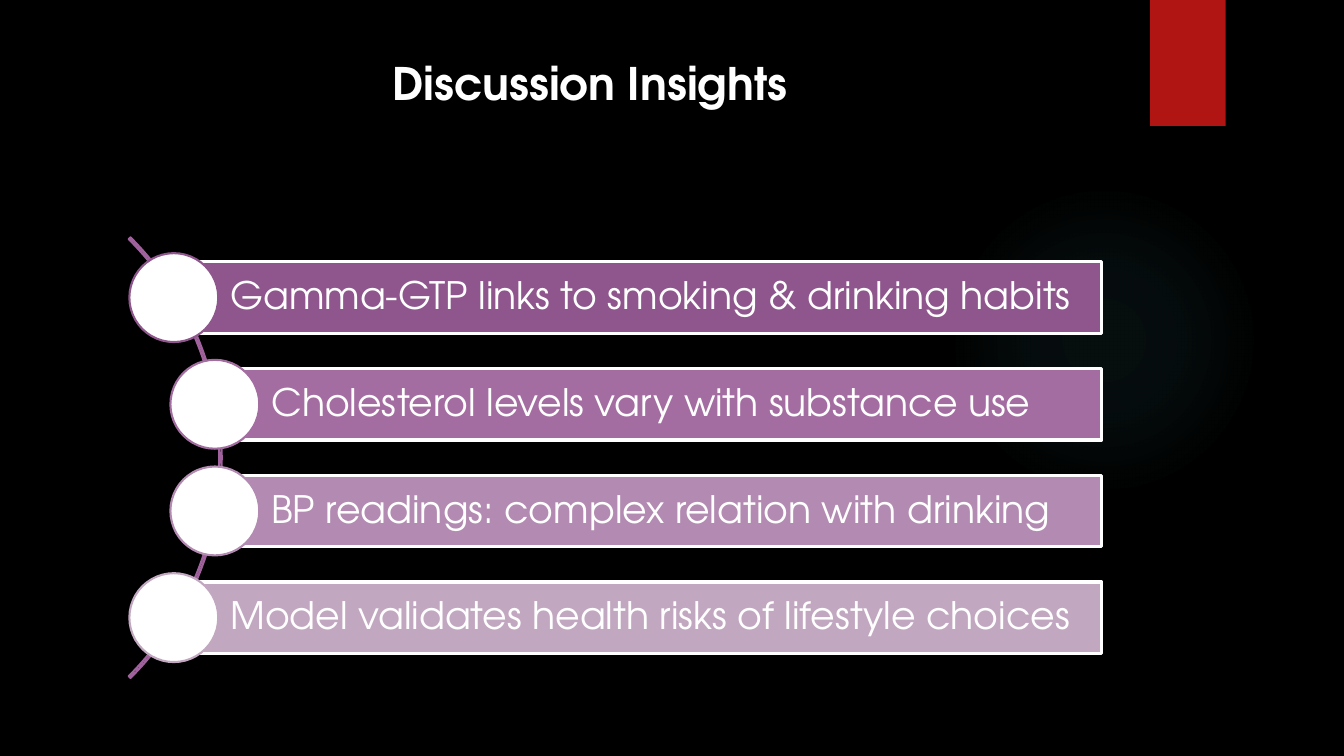
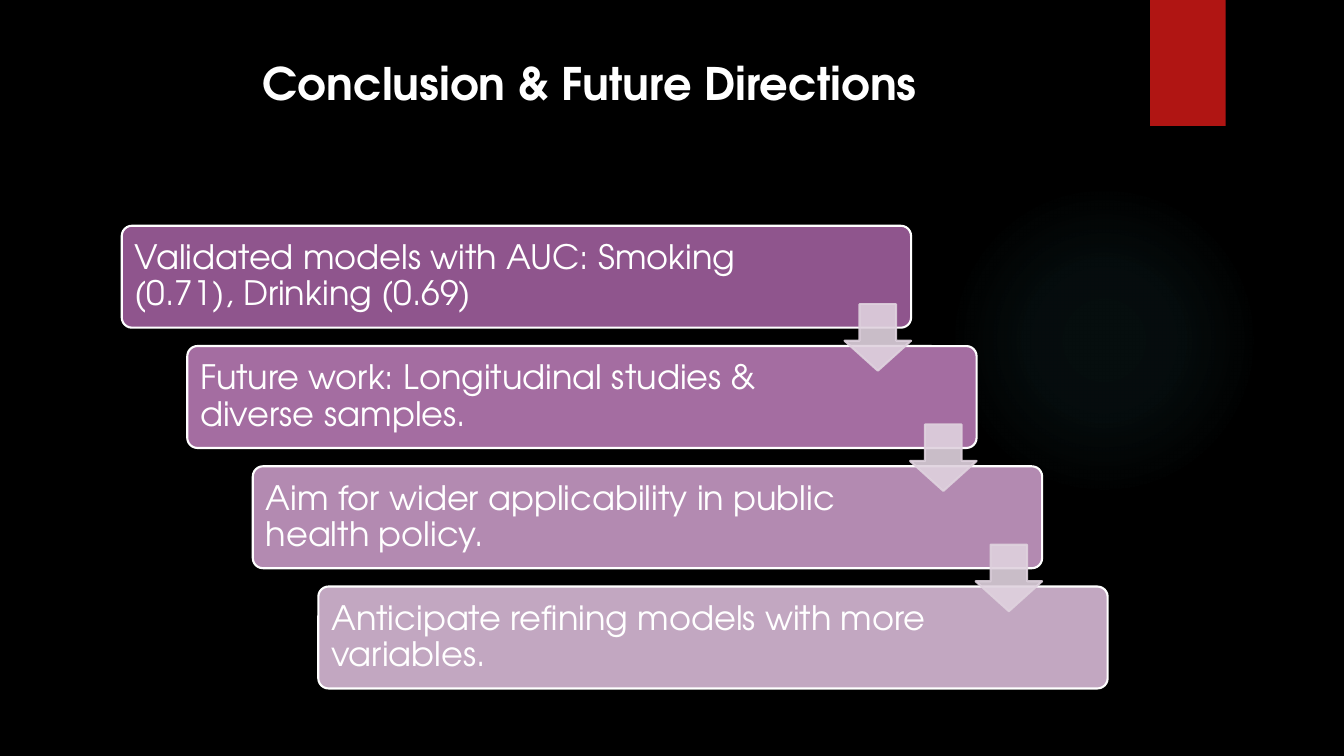
"""Build two dark slides: a curved list and a staircase of steps."""
from lxml.etree import SubElement
from pptx import Presentation
from pptx.dml.color import RGBColor
from pptx.enum.shapes import MSO_SHAPE
from pptx.enum.text import MSO_ANCHOR, PP_ALIGN
from pptx.oxml import parse_xml
from pptx.oxml.ns import nsdecls, qn
from pptx.util import Pt

FONT = "TeX Gyre Adventor"
COLORS = {
    "back": "000000",
    "text": "FFFFFF",
    "tab": "B01513",
    "glow": "50B9C1",
    "arc": "9F629C",
    "arrow": "DFD2DE",
}
TINTS = ["8F558D", "A46DA1", "B38AB1", "C2A7C1"]
INSIGHTS = [
    "Gamma-GTP links to smoking & drinking habits",
    "Cholesterol levels vary with substance use",
    "BP readings: complex relation with drinking",
    "Model validates health risks of lifestyle choices",
]
STEPS = [
    "Validated models with AUC: Smoking (0.71), Drinking (0.69)",
    "Future work: Longitudinal studies & diverse samples.",
    "Aim for wider applicability in public health policy.",
    "Anticipate refining models with more variables.",
]


def paint(fill, color, alpha=None):
    fill.solid()
    fill.fore_color.rgb = RGBColor.from_string(color)
    if alpha:
        tone = fill._xPr.find(qn("a:solidFill"))[0]
        SubElement(tone, qn("a:alpha"), val=str(alpha * 1000))


def draw(slide, kind, box, fill=None, line=None, width=1.5, adjust=(), alpha=None):
    shape = slide.shapes.add_shape(kind, *map(Pt, box))
    shape.shadow.inherit = False
    for index, value in enumerate(adjust):
        shape.adjustments[index] = value
    if fill:
        paint(shape.fill, fill, alpha)
    else:
        shape.fill.background()
    if line:
        shape.line.width = Pt(width)
        paint(shape.line.fill, line, alpha)
    else:
        shape.line.fill.background()
    return shape


def write(shape, text, size, insets, align=PP_ALIGN.LEFT,
          anchor=MSO_ANCHOR.MIDDLE, space=0.9, bold=False):
    frame = shape.text_frame
    frame.word_wrap = True
    frame.vertical_anchor = anchor
    (frame.margin_left, frame.margin_top,
     frame.margin_right, frame.margin_bottom) = map(Pt, insets)
    para = frame.paragraphs[0]
    para.text = text
    para.alignment = align
    para.line_spacing = space
    font = para.font
    font.name = FONT
    font.size = Pt(size)
    font.bold = bold
    font.color.rgb = RGBColor.from_string(COLORS["text"])


def add_glow(slide):
    glow = draw(slide, MSO_SHAPE.OVAL, (677.5, 131.8, 221.8, 221.8))
    stops = "".join(
        f'<a:gs pos="{place * 1000}"><a:srgbClr val="{COLORS["glow"]}">'
        f'<a:alpha val="{alpha * 1000}"/></a:srgbClr></a:gs>'
        for place, alpha in [(0, 7), (36, 6), (69, 0)]
    )
    grade = parse_xml(
        f'<a:gradFill {nsdecls("a")}><a:gsLst>{stops}</a:gsLst><a:path path="circle">'
        '<a:fillToRect l="50000" t="50000" r="50000" b="50000"/></a:path></a:gradFill>'
    )
    props = glow._element.spPr
    props.replace(props.find(qn("a:noFill")), grade)


def add_slide(deck, title):
    slide = deck.slides.add_slide(deck.slide_layouts[6])
    paint(slide.background.fill, COLORS["back"])
    add_glow(slide)
    draw(slide, MSO_SHAPE.RECTANGLE, (821.5, 0, 54, 90), COLORS["tab"])
    box = slide.shapes.add_textbox(*map(Pt, (51, 36, 741, 110)))
    write(box, title, 32, (7.2, 3.6, 7.2, 3.6), PP_ALIGN.CENTER,
          MSO_ANCHOR.TOP, 1, True)
    return slide


def add_curve(slide):
    draw(slide, MSO_SHAPE.BLOCK_ARC, (-286.6, 104.4, 445, 445),
         line=COLORS["arc"], adjust=(189, 27, 0.004))
    right, high, dot = 787, 51, 63.5
    for row, (text, tint) in enumerate(zip(INSIGHTS, TINTS)):
        left = 153.5 if row in (1, 2) else 124.2
        top = 187.1 + 76.2 * row
        bar = draw(slide, MSO_SHAPE.RECTANGLE, (left, top, right - left, high),
                   tint, COLORS["text"], 2.25)
        write(bar, text, 27, (40.3, 5, 5, 5))
        draw(slide, MSO_SHAPE.OVAL,
             (left - dot / 2, top + (high - dot) / 2, dot, dot),
             COLORS["text"], tint)


def add_stairs(slide):
    wide, high, side = 563.8, 72.8, 47.5
    spots = [(87 + 46.8 * row, 161.3 + 85.9 * row) for row in range(len(STEPS))]
    for (left, top), text, tint in zip(spots, STEPS, TINTS):
        step = draw(slide, MSO_SHAPE.ROUNDED_RECTANGLE, (left, top, wide, high),
                    tint, COLORS["text"], adjust=(0.1,))
        write(step, text, 24, (7.2, 7.2, 98, 7.2))
    for left, top in spots[:-1]:
        draw(slide, MSO_SHAPE.DOWN_ARROW, (left + wide - side, top + 56, side, side),
             COLORS["arrow"], COLORS["arrow"], adjust=(0.55, 0.45), alpha=90)


def main():
    deck = Presentation()
    deck.slide_width, deck.slide_height = Pt(960), Pt(540)
    add_curve(add_slide(deck, "Discussion Insights"))
    add_stairs(add_slide(deck, "Conclusion & Future Directions"))
    deck.save("out.pptx")


if __name__ == "__main__":
    main()
